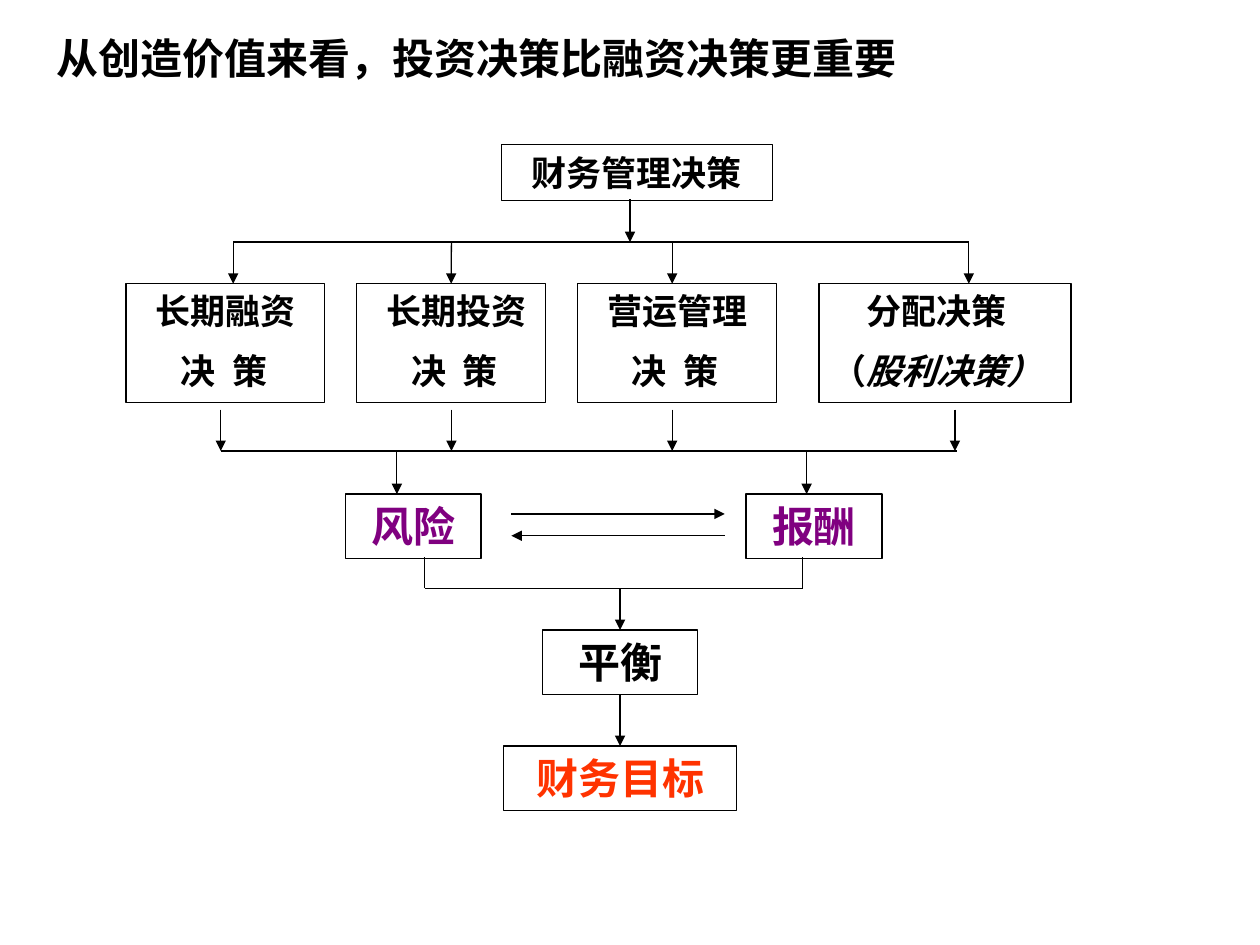
from dataclasses import dataclass

from lxml.etree import SubElement
from pptx import Presentation
from pptx.dml.color import RGBColor
from pptx.enum.shapes import MSO_CONNECTOR, MSO_SHAPE
from pptx.enum.text import MSO_ANCHOR, PP_ALIGN
from pptx.oxml.ns import qn
from pptx.util import Cm, Pt


@dataclass(frozen=True)
class Theme:
    font: str = "Times New Roman"
    black: RGBColor = RGBColor(0x00, 0x00, 0x00)
    purple: RGBColor = RGBColor(0x80, 0x00, 0x80)
    red: RGBColor = RGBColor(0xFF, 0x33, 0x00)
    large: int = 24
    medium: int = 20
    line_width: float = 0.75


THEME = Theme()
TITLE = "从创造价值来看，投资决策比融资决策更重要"

# All positions are in centimetres.
# Text, left, top, width, height, size, colour
SINGLE_BOXES = [
    ("财务管理决策", 10.11, 2.92, 5.46, 1.12, THEME.medium, THEME.black),
    ("风险", 6.96, 9.96, 2.74, 1.3, THEME.large, THEME.purple),
    ("报酬", 15.04, 9.96, 2.74, 1.3, THEME.large, THEME.purple),
    ("平衡", 10.94, 12.7, 3.12, 1.3, THEME.large, THEME.black),
    ("财务目标", 10.15, 15.04, 4.7, 1.3, THEME.large, THEME.red),
]

# Left, width, lines; each line is its indent and its runs
DECISION = (0.85, ["决", " ", "策"])
DECISION_BOXES = [
    (2.54, 4.01, [(0.35, ["长期融资"]), DECISION]),
    (7.19, 3.81, [(0.35, ["长期投资"]), DECISION]),
    (11.64, 4.01, [(0.35, ["营运管理"]), DECISION]),
    (16.51, 5.08, [(0.7, ["分配决策"]), (0, ["（", "股利决策）"])]),
]
DECISION_TOP, DECISION_HEIGHT = 5.72, 2.39

UPPER_BUS, LOWER_BUS, BALANCE_BUS = 4.88, 9.09, 11.86
UPPER_ARROWS = [4.7, 9.1, 13.55, 19.53]
LOWER_ARROWS = [4.45, 9.1, 13.55, 19.25]
OUTCOME_ARROWS = [8.0, 16.26]
BALANCE_LEGS = [8.56, 16.18]
BALANCE_X = 12.5
TRADE_OFF = (10.31, 14.61)

TOP, BOTTOM = 0, 2


def style_paragraph(paragraph, size, color):
    paragraph.space_before = Pt(size / 2)
    font = paragraph.font
    font.name, font.size, font.bold = THEME.font, Pt(size), True
    font.color.rgb = color


def add_box(slide, left, top, width, height):
    shape = slide.shapes.add_shape(
        MSO_SHAPE.RECTANGLE, Cm(left), Cm(top), Cm(width), Cm(height))
    shape.shadow.inherit = False
    shape.fill.background()
    shape.line.color.rgb = THEME.black
    shape.line.width = Pt(THEME.line_width)
    shape.text_frame.vertical_anchor = MSO_ANCHOR.TOP
    return shape


def add_single_box(slide, text, left, top, width, height, size, color):
    shape = add_box(slide, left, top, width, height)
    paragraph = shape.text_frame.paragraphs[0]
    paragraph.text = text
    paragraph.alignment = PP_ALIGN.CENTER
    style_paragraph(paragraph, size, color)
    return shape


def add_decision_box(slide, left, width, lines):
    """Two left-aligned lines; a lone space is widened, the dividend run slanted."""
    shape = add_box(slide, left, DECISION_TOP, width, DECISION_HEIGHT)
    frame = shape.text_frame
    for index, (indent, texts) in enumerate(lines):
        paragraph = frame.add_paragraph() if index else frame.paragraphs[0]
        paragraph.alignment = PP_ALIGN.LEFT
        style_paragraph(paragraph, THEME.medium, THEME.black)
        properties = paragraph._p.get_or_add_pPr()
        properties.set("marL", str(Cm(indent)))
        properties.set("indent", "0")
        for text in texts:
            run = paragraph.add_run()
            run.text = text
            if text == " ":
                run._r.get_or_add_rPr().set("spc", "500")
            elif text.startswith("股利"):
                run.font.italic = True
    return shape


def add_line(slide, start, end, arrow=True, source=None, target=None):
    """Straight line, joined to the bottom of source and the top of target."""
    connector = slide.shapes.add_connector(
        MSO_CONNECTOR.STRAIGHT, *(Cm(value) for value in (*start, *end)))
    connector.line.color.rgb = THEME.black
    connector.line.width = Pt(THEME.line_width)
    if arrow:
        SubElement(connector.line._get_or_add_ln(), qn("a:tailEnd"), type="triangle")
    SubElement(connector._element.spPr, qn("a:effectLst"))
    if source is not None:
        connector.begin_connect(source, BOTTOM)
    if target is not None:
        connector.end_connect(target, TOP)


def add_title(slide):
    box = slide.shapes.add_textbox(Cm(0.89), Cm(0.53), Cm(18.62), Cm(1.27))
    box.text_frame.word_wrap = True
    paragraph = box.text_frame.paragraphs[0]
    paragraph.text = TITLE
    style_paragraph(paragraph, THEME.large, THEME.black)


def add_flow(slide, single, decisions):
    add_line(slide, (12.7, 4.01), (12.7, UPPER_BUS))
    add_line(slide, (UPPER_ARROWS[0], UPPER_BUS), (UPPER_ARROWS[-1], UPPER_BUS), arrow=False)
    for x, box in zip(UPPER_ARROWS, decisions):
        centered = abs(Cm(x) - box.left - box.width / 2) < Cm(0.02)
        add_line(slide, (x, UPPER_BUS), (x, DECISION_TOP), target=box if centered else None)

    for x in LOWER_ARROWS:
        add_line(slide, (x, 8.26), (x, LOWER_BUS))
    add_line(slide, (LOWER_ARROWS[0], LOWER_BUS), (19.3, LOWER_BUS), arrow=False)
    for x in OUTCOME_ARROWS:
        add_line(slide, (x, LOWER_BUS), (x, 9.96))

    left, right = TRADE_OFF
    add_line(slide, (left, 10.36), (right, 10.36))
    add_line(slide, (right, 10.8), (left, 10.8))

    for x in BALANCE_LEGS:
        add_line(slide, (x, 11.23), (x, BALANCE_BUS), arrow=False)
    add_line(slide, (BALANCE_LEGS[0], BALANCE_BUS), (BALANCE_LEGS[1], BALANCE_BUS), arrow=False)
    add_line(slide, (BALANCE_X, BALANCE_BUS), (BALANCE_X, 12.7), target=single["平衡"])
    add_line(slide, (BALANCE_X, 14), (BALANCE_X, 15.04),
             source=single["平衡"], target=single["财务目标"])


def main():
    presentation = Presentation()
    presentation.slide_width, presentation.slide_height = Cm(25.4), Cm(19.05)
    slide = presentation.slides.add_slide(presentation.slide_layouts[6])
    add_title(slide)
    single = {box[0]: add_single_box(slide, *box) for box in SINGLE_BOXES}
    decisions = [add_decision_box(slide, *box) for box in DECISION_BOXES]
    add_flow(slide, single, decisions)
    presentation.save("out.pptx")


if __name__ == "__main__":
    main()
